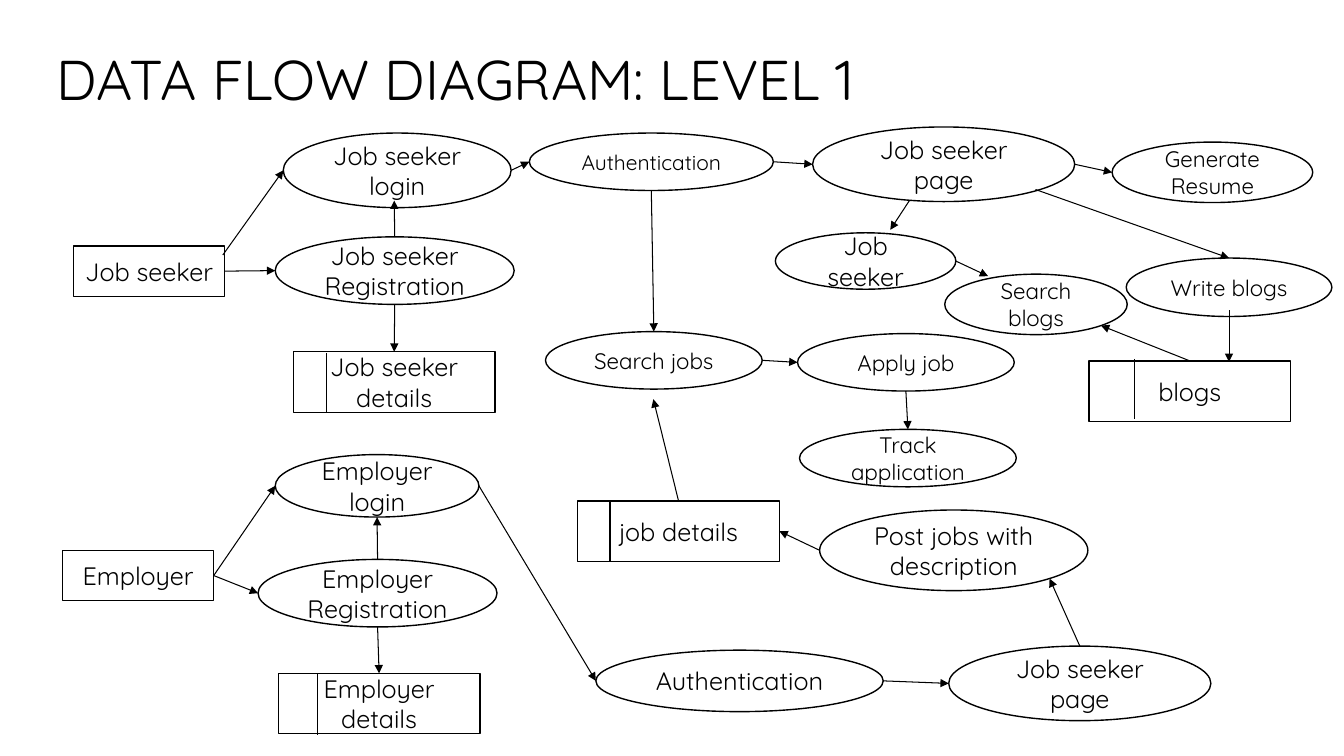
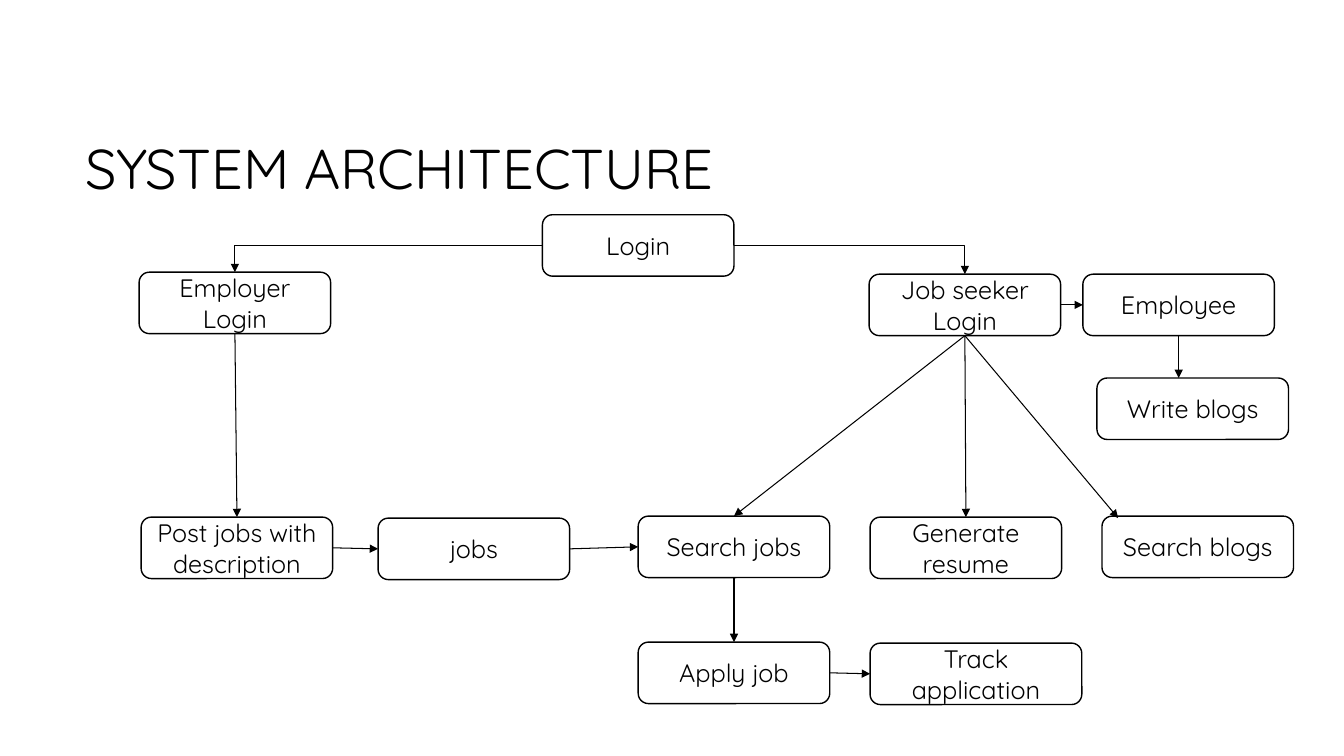
"""Build the data flow diagram and system architecture slides."""
from dataclasses import dataclass

from lxml.etree import SubElement
from pptx import Presentation
from pptx.dml.color import RGBColor
from pptx.enum.shapes import MSO_CONNECTOR, MSO_SHAPE
from pptx.enum.text import MSO_ANCHOR, PP_ALIGN
from pptx.oxml.ns import qn
from pptx.util import Pt


@dataclass(frozen=True)
class Theme:
    ink: RGBColor = RGBColor(0, 0, 0)
    paper: RGBColor = RGBColor(255, 255, 255)
    font: str = "Quicksand"
    title_size: int = 40
    body_size: int = 18
    small_size: int = 16
    tiny_size: int = 15
    outline: float = 1
    flow_line: float = 0.75


theme = Theme()
PX = 9144
TOP, LEFT, BOTTOM, RIGHT = range(4)
OVAL, BOX, ROUND = MSO_SHAPE.OVAL, MSO_SHAPE.RECTANGLE, MSO_SHAPE.ROUNDED_RECTANGLE
STRAIGHT, ELBOW = MSO_CONNECTOR.STRAIGHT, MSO_CONNECTOR.ELBOW
BODY, SMALL, TINY = theme.body_size, theme.small_size, theme.tiny_size
TITLE_FORMAT = {"alignment": PP_ALIGN.LEFT, "line_spacing": 0.9}
NODE_FORMAT = {"alignment": PP_ALIGN.CENTER}


def write_text(shape, text, size, paragraph_format):
    frame = shape.text_frame
    for name, value in {"text": text, "word_wrap": True, "vertical_anchor": MSO_ANCHOR.MIDDLE}.items():
        setattr(frame, name, value)
    for paragraph in frame.paragraphs:
        for name, value in paragraph_format.items():
            setattr(paragraph, name, value)
        for run in paragraph.runs:
            for name, value in {"name": theme.font, "size": Pt(size)}.items():
                setattr(run.font, name, value)
            run.font.color.rgb = theme.ink


def find_point(end, shapes):
    if end[0] not in shapes:
        return end[0] * PX, end[1] * PX
    shape, side = shapes[end[0]], end[1]
    across = {LEFT: 0, RIGHT: 2}.get(side, 1)
    down = {TOP: 0, BOTTOM: 2}.get(side, 1)
    return shape.left + shape.width * across // 2, shape.top + shape.height * down // 2


data_flow_nodes = [
    ("seeker login", OVAL, 281, 132, 226, 74, BODY, "Job seeker login"),
    ("resume", OVAL, 1103, 141, 199, 60, SMALL, "Generate Resume"),
    ("search jobs", OVAL, 541, 329, 215, 57, SMALL, "Search jobs"),
    ("write blogs", OVAL, 1117, 256, 204, 58, SMALL, "Write blogs"),
    ("seeker", BOX, 73, 244, 150, 50, BODY, "Job seeker"),
    ("post jobs", OVAL, 813, 506, 266, 80, BODY, "Post jobs with description"),
    ("seeker registration", OVAL, 273, 235, 237, 67, BODY, "Job seeker\nRegistration"),
    ("seeker details", BOX, 291, 349, 200, 60, BODY, "Job seeker details"),
    ("employer login", OVAL, 273, 451, 202, 62, BODY, "Employer login"),
    ("employer", BOX, 62, 546, 150, 50, BODY, "Employer"),
    ("employer registration", OVAL, 256, 555, 237, 67, BODY, "Employer\nRegistration"),
    ("employer details", BOX, 276, 668, 200, 60, BODY, "Employer details"),
    ("seeker authentication", OVAL, 525, 132, 242, 57, TINY, "Authentication"),
    ("seeker page", OVAL, 806, 126, 260, 74, BODY, "Job seeker page"),
    ("employer authentication", OVAL, 591, 645, 285, 61, BODY, "Authentication"),
    ("employer page", OVAL, 941, 641, 260, 74, BODY, "Job seeker page"),
    ("job details", BOX, 573, 497, 200, 60, BODY, "job details"),
    ("search blogs", OVAL, 937, 272, 181, 60, SMALL, "Search blogs"),
    ("blogs", BOX, 1080, 358, 200, 60, BODY, "blogs"),
    ("apply job", OVAL, 791, 331, 215, 57, SMALL, "Apply job"),
    ("track", OVAL, 793, 426, 215, 57, SMALL, "Track application"),
    ("reader", OVAL, 769, 231, 179, 56, BODY, "Job seeker"),
]
data_flow_arrows = [
    ((221, 253), ("seeker login", LEFT)),
    (("seeker", RIGHT), ("seeker registration", LEFT)),
    (("seeker registration", TOP), (391, 199)),
    (("seeker registration", BOTTOM), ("seeker details", TOP)),
    (("seeker login", RIGHT), ("seeker authentication", LEFT)),
    (("seeker authentication", RIGHT), ("seeker page", LEFT)),
    (("seeker authentication", BOTTOM), ("search jobs", TOP)),
    (("seeker page", RIGHT), ("resume", LEFT)),
    ((902, 199), (883, 228)),
    ((1027, 188), ("write blogs", TOP)),
    (("reader", RIGHT), (980, 274)),
    ((1219, 308), (1219, 359)),
    (("blogs", TOP), (1092, 323)),
    (("search jobs", RIGHT), ("apply job", LEFT)),
    (("apply job", BOTTOM), ("track", TOP)),
    (("job details", TOP), (648, 396)),
    (("post jobs", LEFT), ("job details", RIGHT)),
    (("employer", RIGHT), ("employer login", LEFT)),
    (("employer", RIGHT), ("employer registration", LEFT)),
    (("employer registration", TOP), ("employer login", BOTTOM)),
    (("employer registration", BOTTOM), ("employer details", TOP)),
    (("employer login", RIGHT), ("employer authentication", LEFT)),
    (("employer authentication", RIGHT), ("employer page", LEFT)),
    (("employer page", TOP), (1041, 574)),
]
store_dividers = [((x, y), (x, y + 60)) for x, y in [(324, 350), (315, 669), (605, 498), (1125, 356)]]

architecture_places = [
    ("login", 538, 213, 190, "Login"),
    ("employer login", 138, 270, 190, "Employer Login"),
    ("seeker login", 862, 272, 190, "Job seeker Login"),
    ("search jobs", 633, 512, 190, "Search jobs"),
    ("search blogs", 1093, 512, 190, "Search blogs"),
    ("resume", 863, 513, 190, "Generate resume"),
    ("apply job", 633, 637, 190, "Apply job"),
    ("track", 863, 638, 210, "Track application"),
    ("jobs", 375, 514, 190, "jobs"),
    ("post jobs", 140, 513, 190, "Post jobs with description"),
    ("employee", 1074, 272, 190, "Employee"),
    ("write blogs", 1088, 375, 190, "Write blogs"),
]
architecture_nodes = [
    (key, ROUND, left, top, width, 61, BODY, text) for key, left, top, width, text in architecture_places
]
architecture_elbows = [
    (("login", RIGHT), ("seeker login", TOP)),
    (("login", LEFT), ("employer login", TOP)),
]
architecture_arrows = [
    (("employer login", BOTTOM), ("post jobs", TOP)),
    (("post jobs", RIGHT), ("jobs", LEFT)),
    (("jobs", RIGHT), ("search jobs", LEFT)),
    (("search jobs", BOTTOM), ("apply job", TOP)),
    (("apply job", RIGHT), ("track", LEFT)),
    (("seeker login", RIGHT), ("employee", LEFT)),
    (("employee", BOTTOM), (1169, 375)),
    (("seeker login", BOTTOM), ("resume", TOP)),
    (("seeker login", BOTTOM), ("search jobs", TOP)),
    (("seeker login", BOTTOM), (1109, 514)),
]

pages = [
    ("DATA FLOW DIAGRAM: LEVEL 1", 46, 11, data_flow_nodes,
     [(STRAIGHT, True, data_flow_arrows), (STRAIGHT, False, store_dividers)]),
    ("SYSTEM ARCHITECTURE", 75, 99, architecture_nodes,
     [(ELBOW, True, architecture_elbows), (STRAIGHT, True, architecture_arrows)]),
]

presentation = Presentation()
presentation.slide_width, presentation.slide_height = 1333 * PX, 750 * PX

for title, title_left, title_top, nodes, flow_groups in pages:
    slide = presentation.slides.add_slide(presentation.slide_layouts[6])
    slide.background.fill.solid()
    slide.background.fill.fore_color.rgb = theme.paper
    title_box = slide.shapes.add_textbox(title_left * PX, title_top * PX, 942 * PX, 141 * PX)
    write_text(title_box, title, theme.title_size, TITLE_FORMAT)

    shapes = {}
    for key, kind, left, top, width, height, size, text in nodes:
        shape = slide.shapes.add_shape(kind, left * PX, top * PX, width * PX, height * PX)
        shape.shadow.inherit = False
        shape.fill.solid()
        shape.fill.fore_color.rgb = theme.paper
        shape.line.color.rgb = theme.ink
        shape.line.width = Pt(theme.outline)
        write_text(shape, text, size, NODE_FORMAT)
        shapes[key] = shape

    for kind, has_arrow, flows in flow_groups:
        for start, finish in flows:
            connector = slide.shapes.add_connector(
                kind, *find_point(start, shapes), *find_point(finish, shapes))
            for end, join in ((start, connector.begin_connect), (finish, connector.end_connect)):
                if end[0] in shapes and shapes[end[0]].auto_shape_type != OVAL:
                    join(shapes[end[0]], end[1])
            connector.line.color.rgb = theme.ink
            connector.line.width = Pt(theme.flow_line)
            properties = connector.element.spPr
            if kind == ELBOW:
                properties.find(qn("a:prstGeom")).set("prst", "bentConnector2")
            if has_arrow:
                SubElement(properties.find(qn("a:ln")), qn("a:tailEnd"), type="triangle")
            SubElement(properties, qn("a:effectLst"))

presentation.save("out.pptx")
